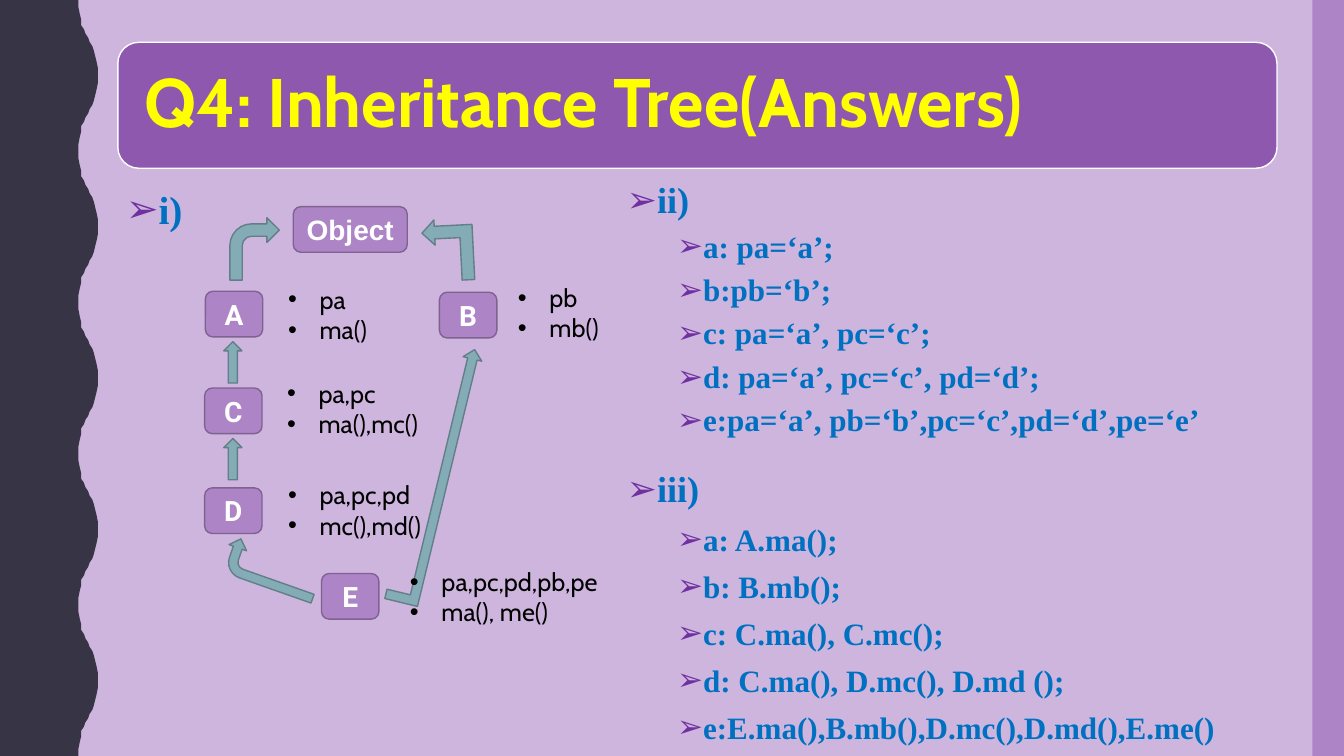
from lxml import etree
from pptx import Presentation
from pptx.dml.color import RGBColor
from pptx.enum.shapes import MSO_SHAPE
from pptx.enum.text import MSO_ANCHOR, PP_ALIGN
from pptx.oxml.ns import qn
from pptx.util import Pt

NODE = MSO_SHAPE.FLOWCHART_ALTERNATE_PROCESS
ROUNDED, RECTANGLE = MSO_SHAPE.ROUNDED_RECTANGLE, MSO_SHAPE.RECTANGLE
BENT, BENT_UP, UP = MSO_SHAPE.BENT_ARROW, MSO_SHAPE.BENT_UP_ARROW, MSO_SHAPE.UP_ARROW
MIDDLE, TOP = MSO_ANCHOR.MIDDLE, MSO_ANCHOR.TOP
LEFT, CENTER = PP_ALIGN.LEFT, PP_ALIGN.CENTER

COLORS = {
    "background": "CEB5DD", "wave": "373545", "lilac": "AD84C6", "node line": "806292",
    "banner": "874EA9", "white": "FFFFFF", "title": "FFFF00", "answer": "0070C0",
    "bullet": "7030A0", "member": "000000", "arrow": "84ACB6", "arrow line": "627F87",
}
WIDTH, HEIGHT = 960, 540
TITLE = "Q4: Inheritance Tree(Answers)"

# name, left, top, width, font
NODES = [
    ("Object", 209.5, 147.6, 81.4, "Arial"),
    ("A", 146.7, 208.1, 41, "Roboto"),
    ("B", 313.9, 208.8, 41, "Roboto"),
    ("C", 146.2, 277.2, 41, "Roboto"),
    ("D", 146.2, 348.5, 41, "Roboto"),
    ("E", 229.7, 409.7, 41, "Roboto"),
]
NODE_HEIGHT = 32.6

# members, left, top, width
MEMBERS = [
    (["pa", "ma()"], 198.7, 199.4, 73.4),
    (["pa,pc", "ma(),mc()"], 198, 266.4, 116),
    (["pa,pc,pd", "mc(),md()"], 198.7, 339.1, 189.4),
    (["pb", "mb()"], 362.9, 198, 73.4),
    (["pa,pc,pd,pb,pe", "ma(), me()"], 285.8, 401, 480.2),
]
MEMBER_HEIGHT = 51

# shape, left, top, width, height, rotation
ARROWS = [
    (BENT, 164.2, 155.5, 35.3, 44.6, 0),
    (BENT_UP, 296.6, 245.5, 27.4, 187.9, 13.6),
    (BENT, 180.7, 372.2, 26.6, 69.1, 289.4),
    (BENT_UP, 298.1, 160.6, 43.9, 36, 267.1),
    (UP, 159.8, 244.1, 13, 29.5, 0),
    (UP, 159.8, 313.2, 13, 29.5, 0),
]

# heading, answers, heading size, line spacing, left, top, width, height
ANSWERS = [
    ("i)", [], 28, 1.1, 46.8, 125.3, 133.2, 64.1),
    ("ii)", ["a: pa=‘a’;", "b:pb=‘b’;", "c: pa=‘a’, pc=‘c’;", "d: pa=‘a’, pc=‘c’, pd=‘d’;",
             "e:pa=‘a’, pb=‘b’,pc=‘c’,pd=‘d’,pe=‘e’"],
     25.9, 0.9, 404.6, 126.7, 504, 190.1),
    ("iii)", ["a: A.ma();", "b: B.mb();", "c: C.ma(), C.mc();", "d: C.ma(), D.mc(), D.md ();",
              "e:E.ma(),B.mb(),D.mc(),D.md(),E.me()"],
     25.9, 1.0, 404.6, 329.8, 504, 210.2),
]
ANSWER_SIZE = 22.2

# x, y down half of one wave, from trough to crest
HALF_WAVE = [
    (56.2, 0), (56.2, 5), (57, 10), (57.6, 14.5), (58.3, 18), (59.8, 21), (61.2, 24),
    (62.6, 27), (64.1, 30), (65.5, 33), (67, 36), (68.4, 39.5), (69.1, 44), (69.8, 49),
    (69.8, 54),
]
WAVE_LENGTH, WAVE_COUNT = 108, 5


def color(name):
    return RGBColor.from_string(COLORS[name])


def paint(shape, fill, line=None):
    shape.shadow.inherit = False
    shape.fill.solid()
    shape.fill.fore_color.rgb = color(fill)
    if line:
        shape.line.color.rgb = color(line)
        shape.line.width = Pt(1)
    else:
        shape.line.fill.background()


def add_shape(kind, left, top, width, height, fill, line=None, rotation=0):
    shape = slide.shapes.add_shape(kind, Pt(left), Pt(top), Pt(width), Pt(height))
    paint(shape, fill, line)
    shape.rotation = rotation
    return shape


def add_box(left, top, width, height):
    return slide.shapes.add_textbox(Pt(left), Pt(top), Pt(width), Pt(height)).text_frame


def add_bullet(para, char, indent, hanging, tint):
    properties = para._p.get_or_add_pPr()
    properties.set("marL", str(Pt(indent)))
    properties.set("indent", str(-Pt(hanging)))
    bullet_color = etree.SubElement(properties, qn("a:buClr"))
    etree.SubElement(bullet_color, qn("a:srgbClr")).set("val", COLORS[tint])
    etree.SubElement(properties, qn("a:buFont")).set("typeface", "Arial")
    etree.SubElement(properties, qn("a:buChar")).set("char", char)


def write(frame, lines, font, tint, size=None, sizes=None, bold=False, align=LEFT,
          anchor=TOP, spacing=1.0, before=0, bullet=None, indents=None, hanging=0, wrap=True):
    """Write one paragraph per line; sizes and indents may differ line by line."""
    frame.word_wrap = wrap
    frame.vertical_anchor = anchor
    for index, text in enumerate(lines):
        para = frame.add_paragraph() if index else frame.paragraphs[0]
        if bullet:
            add_bullet(para, bullet, indents[index], hanging, "bullet" if before else tint)
        para.alignment = align
        para.line_spacing = spacing
        para.space_before = Pt(before if index else 0)
        span = para.add_run()
        span.text = text
        span.font.name = font
        span.font.size = Pt(sizes[index] if sizes else size)
        span.font.bold = bold
        span.font.color.rgb = color(tint)


def add_wave():
    half = HALF_WAVE + [(x, WAVE_LENGTH - y) for x, y in HALF_WAVE[-2::-1]]
    edge = [(x, y + WAVE_LENGTH * turn) for turn in range(WAVE_COUNT) for x, y in half]
    builder = slide.shapes.build_freeform(0, 0, scale=Pt(1))
    builder.add_line_segments(edge + [(0, HEIGHT)], close=True)
    paint(builder.convert_to_shape(), "wave")


def add_title():
    banner = add_shape(ROUNDED, 84.2, 30.2, 828, 90, "banner", "white")
    fill_color = banner.fill._xPr.find(qn("a:solidFill"))[0]
    etree.SubElement(fill_color, qn("a:alpha")).set("val", "90000")
    title = slide.shapes.title
    slide.shapes._spTree.append(title._element)
    title.left, title.top, title.width, title.height = Pt(88.6), Pt(34.6), Pt(819.4), Pt(81.4)
    frame = title.text_frame
    frame.margin_left = frame.margin_right = Pt(14.4)
    frame.margin_top = frame.margin_bottom = Pt(14.4)
    write(frame, [TITLE], "Cabin", "title", size=49, bold=True, anchor=MIDDLE, spacing=0.9)


deck = Presentation()
deck.slide_width, deck.slide_height = Pt(WIDTH), Pt(HEIGHT)
slide = deck.slides.add_slide(deck.slide_layouts[5])
slide.background.fill.solid()
slide.background.fill.fore_color.rgb = color("background")

add_wave()
add_shape(RECTANGLE, 937.5, 0, WIDTH - 937.5, HEIGHT, "lilac")
add_title()

for name, left, top, width, font in NODES:
    node = add_shape(NODE, left, top, width, NODE_HEIGHT, "lilac", "node line")
    write(node.text_frame, [name], font, "white", size=20, bold=True, align=CENTER,
          anchor=MIDDLE, wrap=False)

for kind, left, top, width, height, rotation in ARROWS:
    add_shape(kind, left, top, width, height, "arrow", "arrow line", rotation)

for lines, left, top, width in MEMBERS:
    write(add_box(left, top, width, MEMBER_HEIGHT), lines, "Cabin", "member", size=18,
          bullet="•", indents=[22.5] * len(lines), hanging=22.5)

for heading, answers, size, spacing, *place in ANSWERS:
    write(add_box(*place), [heading] + answers, "Times New Roman", "answer", bold=True,
          sizes=[size] + [ANSWER_SIZE] * len(answers), spacing=spacing, before=7,
          bullet="➢", indents=[54] + [90] * len(answers), hanging=18)

deck.save("out.pptx")
